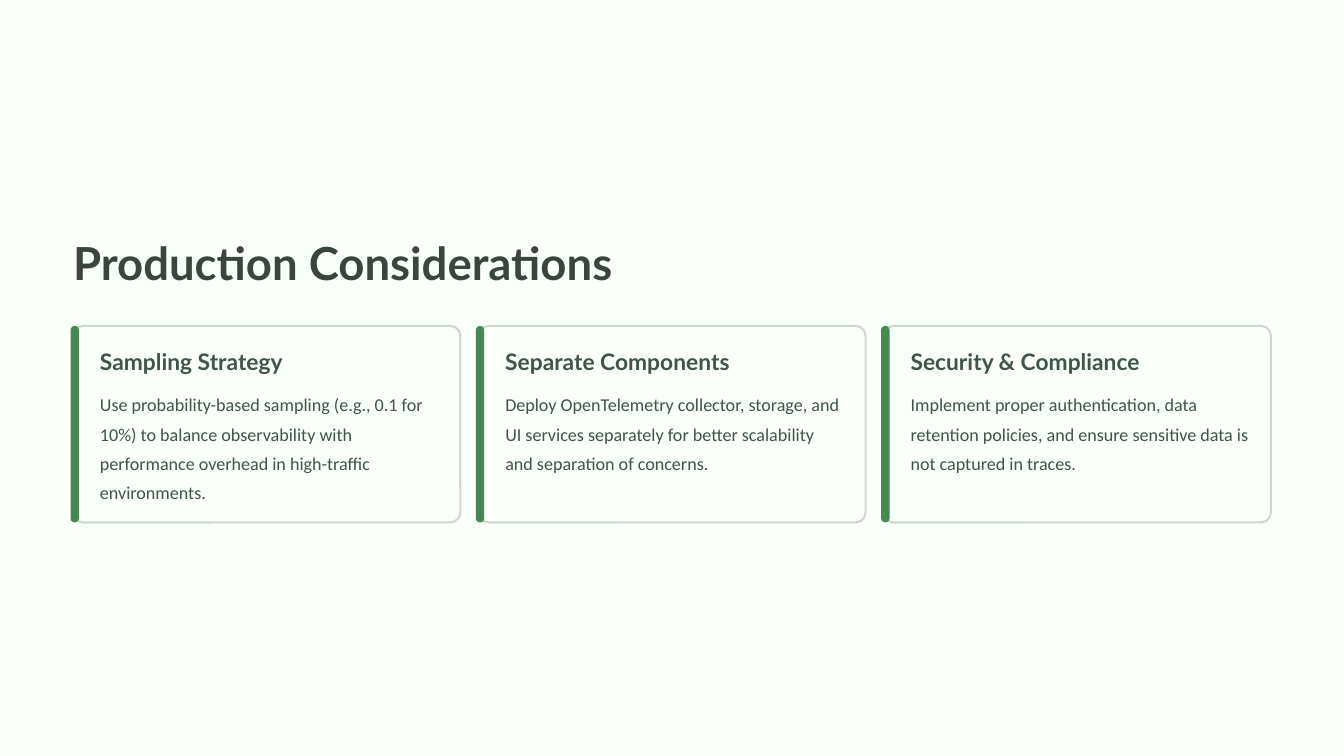
import pptx
import pptx.dml.color
import pptx.enum.shapes
import pptx.enum.text
import pptx.util

Inches = pptx.util.Inches
Pt = pptx.util.Pt
RGBColor = pptx.dml.color.RGBColor
ROUNDED = pptx.enum.shapes.MSO_SHAPE.ROUNDED_RECTANGLE

MINT = RGBColor(0xFA, 0xFF, 0xFA)
BORDER = RGBColor(0xCE, 0xD9, 0xCE)
GREEN = RGBColor(0x43, 0x89, 0x51)
TITLE_COLOR = RGBColor(0x3B, 0x45, 0x40)
TEXT_COLOR = RGBColor(0x40, 0x54, 0x49)

CARDS = [
    ("Sampling Strategy",
     "Use probability-based sampling (e.g., 0.1 for 10%) to balance observability "
     "with performance overhead in high-traffic environments."),
    ("Separate Components",
     "Deploy OpenTelemetry collector, storage, and UI services separately for "
     "better scalability and separation of concerns."),
    ("Security & Compliance",
     "Implement proper authentication, data retention policies, and ensure "
     "sensitive data is not captured in traces."),
]


def add_text(slide, box, text, font_name, size, spacing, color, bold=False, wrap=False):
    shape = slide.shapes.add_textbox(*map(Inches, box))
    frame = shape.text_frame
    frame.word_wrap = wrap
    frame.vertical_anchor = pptx.enum.text.MSO_ANCHOR.TOP
    frame.margin_left = frame.margin_right = frame.margin_top = frame.margin_bottom = 0
    paragraph = frame.paragraphs[0]
    paragraph.line_spacing = Pt(spacing)
    run = paragraph.add_run()
    run.text = text
    run.font.name = font_name
    run.font.size = Pt(size)
    run.font.bold = bold
    run.font.color.rgb = color


def add_rounded(slide, box, adjustment, fill, line=None):
    shape = slide.shapes.add_shape(ROUNDED, *map(Inches, box))
    shape.adjustments[0] = adjustment
    shape.shadow.inherit = False
    shape.fill.solid()
    shape.fill.fore_color.rgb = fill
    if line is None:
        shape.line.fill.background()
    else:
        shape.line.color.rgb = line
        shape.line.width = Pt(1.8)


def add_card(slide, box, heading, body):
    left, top, width, height = box
    add_rounded(slide, box, 0.05, MINT, BORDER)
    add_rounded(slide, (left - 0.03, top, 0.1, height), 0.5, GREEN)
    text_left = left + 0.32
    add_text(slide, (text_left, top + 0.25, 3.1, 0.34), heading,
             "Lato", 19.5, 24, TEXT_COLOR, bold=True)
    add_text(slide, (text_left, top + 0.72, width - 0.56, 1.39), body,
             "Calibri", 15.5, 25, TEXT_COLOR, wrap=True)


def add_card_row(slide, box, cards):
    left, top, width, height = box
    card_width = 4.61
    pitch = (width - card_width) / (len(cards) - 1)
    for index, (heading, body) in enumerate(cards):
        add_card(slide, (left + index * pitch, top, card_width, height), heading, body)


def main():
    presentation = pptx.Presentation()
    presentation.slide_width = Inches(16)
    presentation.slide_height = Inches(9)
    slide = presentation.slides.add_slide(presentation.slide_layouts[6])
    slide.background.fill.solid()
    slide.background.fill.fore_color.rgb = MINT
    add_text(slide, (0.87, 2.77, 7.46, 0.68), "Production Considerations",
             "Lato", 39, 48.5, TITLE_COLOR, bold=True)
    add_card_row(slide, (0.87, 3.88, 14.26, 2.34), CARDS)
    presentation.save("out.pptx")


if __name__ == "__main__":
    main()
